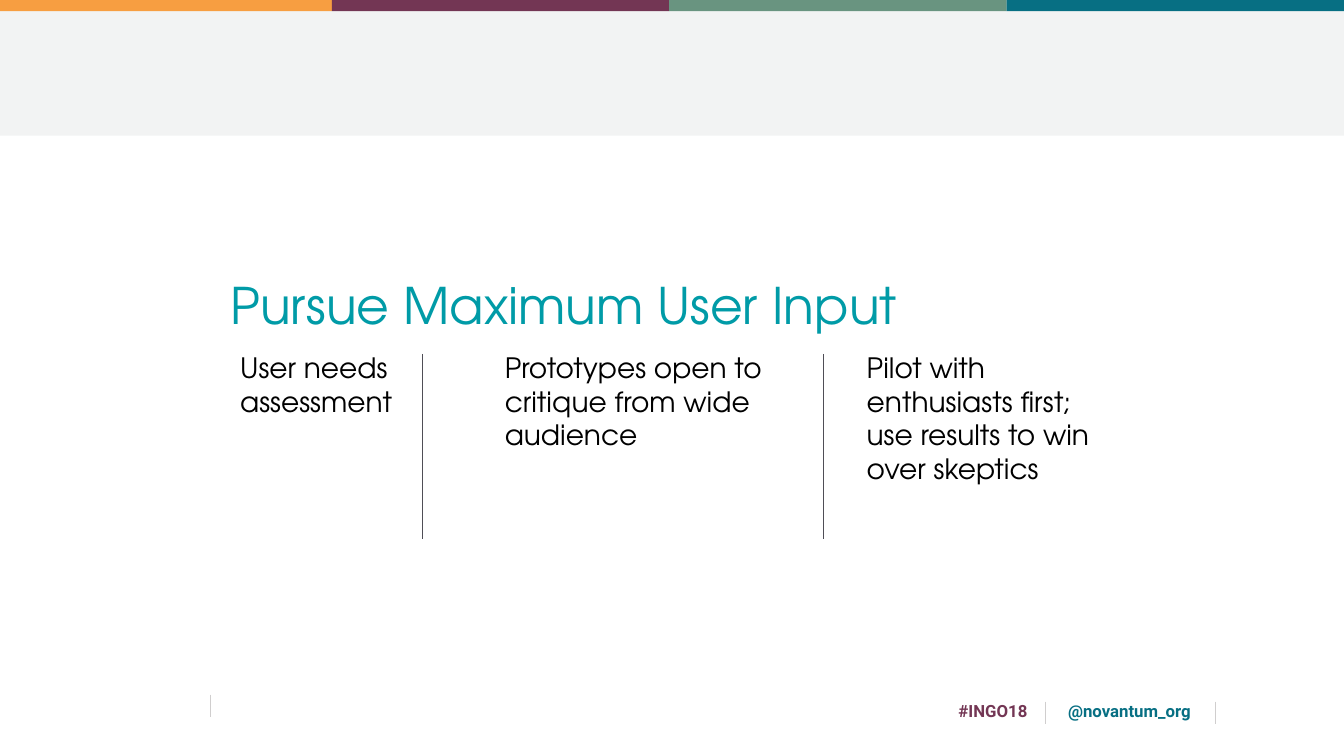
from lxml import etree
from pptx import Presentation
from pptx.dml.color import RGBColor
from pptx.enum.shapes import MSO_CONNECTOR, MSO_SHAPE
from pptx.enum.text import MSO_ANCHOR, MSO_AUTO_SIZE, PP_ALIGN
from pptx.oxml.ns import qn
from pptx.util import Pt

STRAIGHT = MSO_CONNECTOR.STRAIGHT
RECTANGLE = MSO_SHAPE.RECTANGLE
TOP = MSO_ANCHOR.TOP
NO_AUTOFIT = MSO_AUTO_SIZE.NONE
LEFT, CENTER = PP_ALIGN.LEFT, PP_ALIGN.CENTER

WIDTH, HEIGHT = 960, 540
HEADING_FONT, FOOTER_FONT = "TeX Gyre Adventor", "Roboto"
PLUM, TEAL = "733654", "076F83"
STRIPE_COLOURS = ["F79E41", PLUM, "699480", TEAL]


def colour(value):
    """Return the colour for a hex string."""
    return RGBColor.from_string(value)


def write(frame, text, size=20, font=HEADING_FONT, fill="000000", bold=False,
          align=LEFT, wrap=True):
    """Put formatted text in a text frame."""
    frame.word_wrap = wrap
    frame.auto_size = NO_AUTOFIT
    frame.vertical_anchor = TOP
    frame.text = text
    paragraph = frame.paragraphs[0]
    paragraph.alignment = align
    paragraph.font.size = Pt(size)
    paragraph.font.name = font
    paragraph.font.bold = bold
    paragraph.font.color.rgb = colour(fill)


def add_text(slide, box, text, **style):
    """Add a text box at the given box."""
    label = slide.shapes.add_textbox(*map(Pt, box))
    write(label.text_frame, text, **style)


def add_block(slide, box, fill):
    """Add a plain filled rectangle."""
    block = slide.shapes.add_shape(RECTANGLE, *map(Pt, box))
    block.shadow.inherit = False
    block.fill.solid()
    block.fill.fore_color.rgb = colour(fill)
    block.line.fill.background()


def add_rule(slide, x, top, height, fill, weight):
    """Add a thin vertical rule."""
    rule = slide.shapes.add_connector(STRAIGHT, Pt(x), Pt(top), Pt(x), Pt(top + height))
    rule.line.color.rgb = colour(fill)
    rule.line.width = Pt(weight)
    etree.SubElement(rule._element.spPr, qn("a:effectLst"))


def add_header(slide, box):
    """Draw the pale band with its four stripes, measured from the right edge."""
    left, top, width, height = box
    add_block(slide, box, "F2F3F3")
    stripe_width = 241
    for place, fill in enumerate(STRIPE_COLOURS):
        right = left + width - stripe_width * (len(STRIPE_COLOURS) - 1 - place)
        start = max(left, right - stripe_width)
        add_block(slide, (start, top, right - start, 8), fill)


def add_footer(slide, box):
    """Draw the hashtag, the handle and their rules."""
    left, top, width, height = box
    for x, drop in [(0, 0), (596.5, 5), (width, 5)]:
        add_rule(slide, left + x, top + drop, 16, "D0CECE", 0.75)
    for x, label_width, text, fill in [(527.5, 63, "#INGO18", PLUM),
                                       (599.5, 114, "@novantum_org", TEAL)]:
        add_text(slide, (left + x, top + 1, label_width, height), text, size=12,
                 font=FOOTER_FONT, fill=fill, bold=True, align=CENTER, wrap=False)


def add_message(slide, box):
    """Place the title over three columns parted by rules."""
    left, top, width, height = box
    title = slide.shapes.title
    title.left, title.top, title.width, title.height = map(Pt, (left, top, width, 51))
    write(title.text_frame, "Pursue Maximum User Input", size=36, fill="009BA7")
    columns = [
        (7, 124, "User needs assessment"),
        (196, 249, "Prototypes open to critique from wide audience"),
        (454.5, 195, "Pilot with enthusiasts first; use results to win over skeptics"),
    ]
    for x, column_width, text in columns:
        add_text(slide, (left + x, top + 54.75, column_width, 105), text)
    for x in (144, 430.5):
        add_rule(slide, left + x, top + 60.75, height - 60.75, "4F4E56", 0.5)


def main():
    """Build and save the slide."""
    deck = Presentation()
    deck.slide_width, deck.slide_height = Pt(WIDTH), Pt(HEIGHT)
    slide = deck.slides.add_slide(deck.slide_layouts[5])
    add_header(slide, (0, 0, WIDTH, 97))
    add_footer(slide, (150.25, 496.25, 718, 22))
    add_message(slide, (157.5, 192, 649, 193.25))
    deck.save("out.pptx")


if __name__ == "__main__":
    main()
